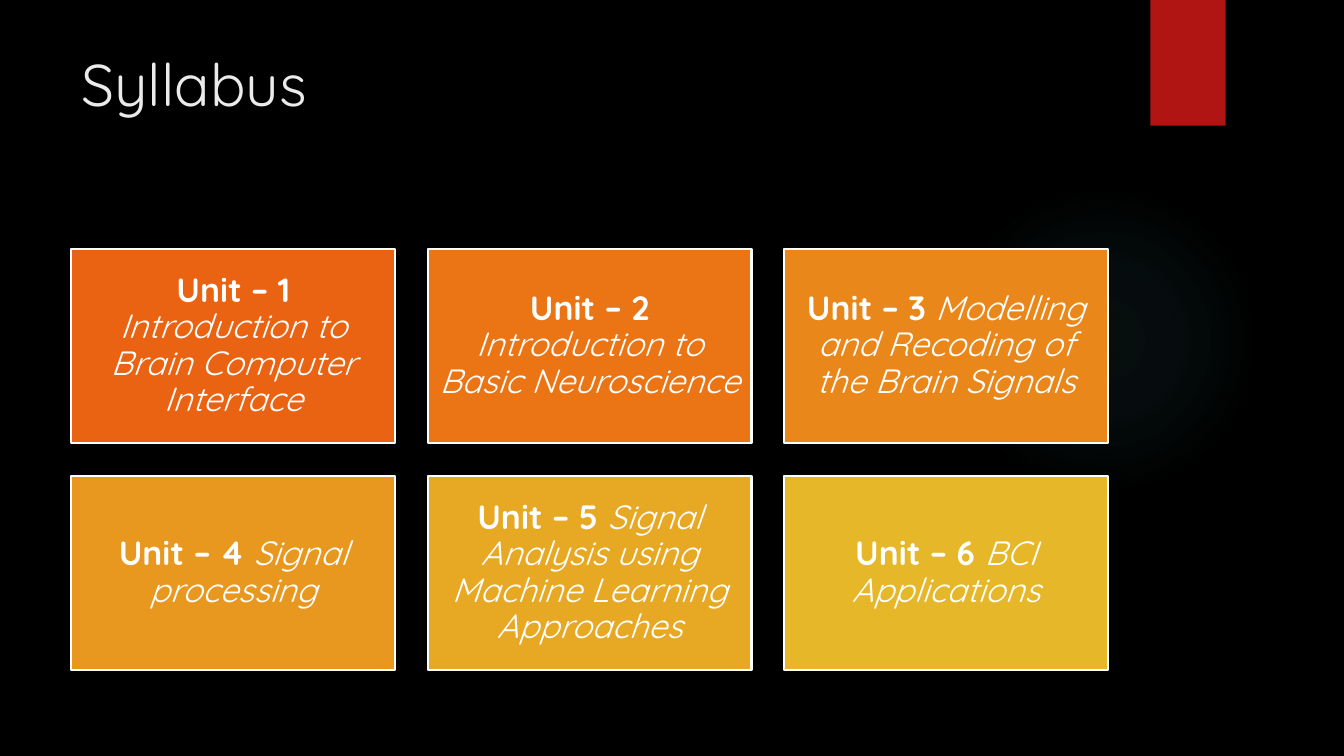
"""Build the Syllabus slide with six unit cards."""
import dataclasses

import pptx
import pptx.dml.color
import pptx.enum.shapes
import pptx.enum.text
import pptx.oxml
import pptx.oxml.ns
import pptx.util

Cm = pptx.util.Cm
SHAPES = pptx.enum.shapes.MSO_SHAPE
ALIGN = pptx.enum.text.PP_ALIGN
ANCHOR = pptx.enum.text.MSO_ANCHOR
COLORS = {
    "background": "000000",
    "glow": "50B9C1",
    "ribbon": "B01513",
    "title": "EBEBEB",
    "white": "FFFFFF",
    "unit1": "EA6312",
    "unit2": "EB7515",
    "unit3": "EA871A",
    "unit4": "E8981F",
    "unit5": "E7A824",
    "unit6": "E6B729",
}
GLOW_STOPS = {0: 7, 36: 6, 69: 0}
BASE_FONT = {"name": "Quicksand"}
TITLE_FONT = BASE_FONT | {"size": pptx.util.Pt(42)}
UNIT_FONT = BASE_FONT | {"size": pptx.util.Pt(24), "bold": True}
TOPIC_FONT = UNIT_FONT | {"bold": False, "italic": True}
CARD_FRAME = {
    "word_wrap": True,
    "vertical_anchor": ANCHOR.MIDDLE,
    "margin_left": Cm(0.25),
    "margin_right": Cm(0.25),
    "margin_top": Cm(0.25),
    "margin_bottom": Cm(0.25),
}
COLUMNS = 3
CARD_LEFT, CARD_TOP = 1.8, 6.27
CARD_WIDTH, CARD_HEIGHT = 8.16, 4.9
COLUMN_STEP, ROW_STEP = 8.98, 5.72


@dataclasses.dataclass(frozen=True)
class Unit:
    """A course unit and its topic."""
    number: int
    topic: str


UNITS = [
    Unit(1, "Introduction to Brain Computer Interface"),
    Unit(2, "Introduction to Basic Neuroscience"),
    Unit(3, "Modelling and Recoding of the Brain Signals"),
    Unit(4, "Signal processing"),
    Unit(5, "Signal Analysis using Machine Learning Approaches"),
    Unit(6, "BCI Applications"),
]


def rgb(name: str) -> pptx.dml.color.RGBColor:
    """Return a named colour."""
    return pptx.dml.color.RGBColor.from_string(COLORS[name])


def apply_format(target: object, values: dict) -> None:
    """Set every attribute listed in the format values."""
    for name, value in values.items():
        setattr(target, name, value)


def add_run(paragraph, text: str, font: dict, color: str) -> None:
    """Append formatted text to a paragraph."""
    run = paragraph.add_run()
    run.text = text
    apply_format(run.font, font)
    run.font.color.rgb = rgb(color)


def add_block(slide, kind, box: tuple, color: str):
    """Add a filled shape without outline or shadow."""
    block = slide.shapes.add_shape(kind, *map(Cm, box))
    block.shadow.inherit = False
    block.fill.solid()
    block.fill.fore_color.rgb = rgb(color)
    block.line.fill.background()
    return block


def add_glow(slide) -> None:
    """Add the faint radial glow on the right."""
    glow = add_block(slide, SHAPES.OVAL, (23.9, 4.65, 7.82, 7.82), "glow")
    stops = "".join(
        f'<a:gs pos="{position * 1000}"><a:srgbClr val="{COLORS["glow"]}">'
        f'<a:alpha val="{alpha * 1000}"/></a:srgbClr></a:gs>'
        for position, alpha in GLOW_STOPS.items()
    )
    gradient = pptx.oxml.parse_xml(
        f'<a:gradFill {pptx.oxml.ns.nsdecls("a")}><a:gsLst>{stops}</a:gsLst>'
        '<a:path path="circle"><a:fillToRect l="50000" t="50000" r="50000" b="50000"/>'
        "</a:path></a:gradFill>"
    )
    properties = glow._element.spPr
    properties.replace(properties.find(pptx.oxml.ns.qn("a:solidFill")), gradient)


def add_title(slide) -> None:
    """Add the slide heading."""
    title = slide.shapes.add_textbox(*map(Cm, (1.8, 1.27, 26.14, 3.89)))
    title.text_frame.word_wrap = True
    heading = title.text_frame.paragraphs[0]
    heading.line_spacing = 0.9
    add_run(heading, "Syllabus", TITLE_FONT, "title")


def add_card(slide, index: int, unit: Unit) -> None:
    """Add a unit card at its place in the grid."""
    row, column = divmod(index, COLUMNS)
    box = (CARD_LEFT + column * COLUMN_STEP, CARD_TOP + row * ROW_STEP,
           CARD_WIDTH, CARD_HEIGHT)
    card = add_block(slide, SHAPES.RECTANGLE, box, f"unit{unit.number}")
    card.line.color.rgb = rgb("white")
    card.line.width = pptx.util.Pt(1.5)
    apply_format(card.text_frame, CARD_FRAME)
    label = card.text_frame.paragraphs[0]
    apply_format(label, {"alignment": ALIGN.CENTER, "line_spacing": 0.9})
    add_run(label, f"Unit – {unit.number} ", UNIT_FONT, "white")
    add_run(label, unit.topic, TOPIC_FONT, "white")


def main() -> None:
    """Create and save the slide."""
    deck = pptx.Presentation()
    apply_format(deck, {"slide_width": Cm(33.87), "slide_height": Cm(19.05)})
    slide = deck.slides.add_slide(deck.slide_layouts[6])
    slide.background.fill.solid()
    slide.background.fill.fore_color.rgb = rgb("background")
    add_glow(slide)
    add_block(slide, SHAPES.RECTANGLE, (28.99, 0, 1.9, 3.17), "ribbon")
    add_title(slide)
    for index, unit in enumerate(UNITS):
        add_card(slide, index, unit)
    deck.save("out.pptx")


if __name__ == "__main__":
    main()
